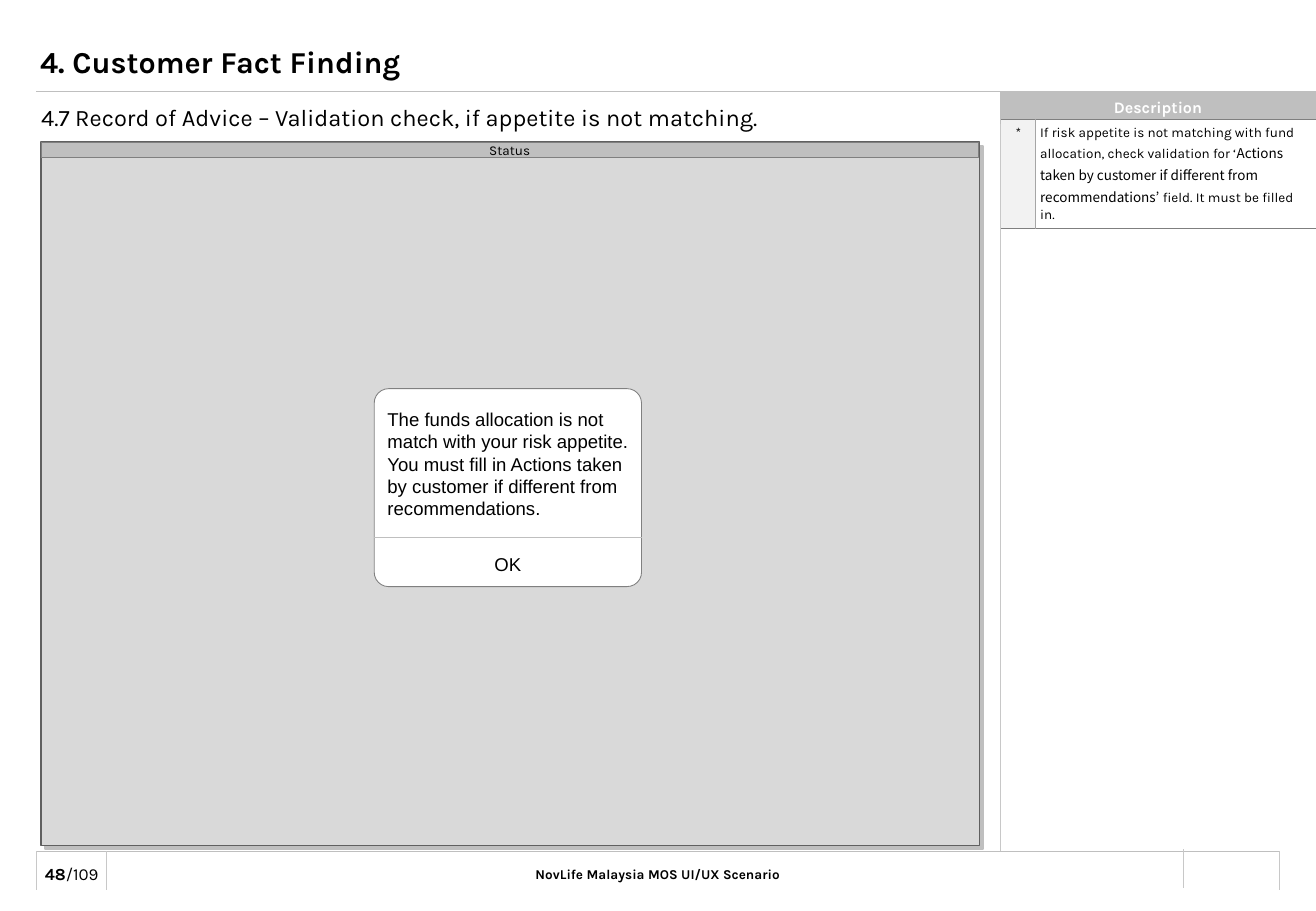
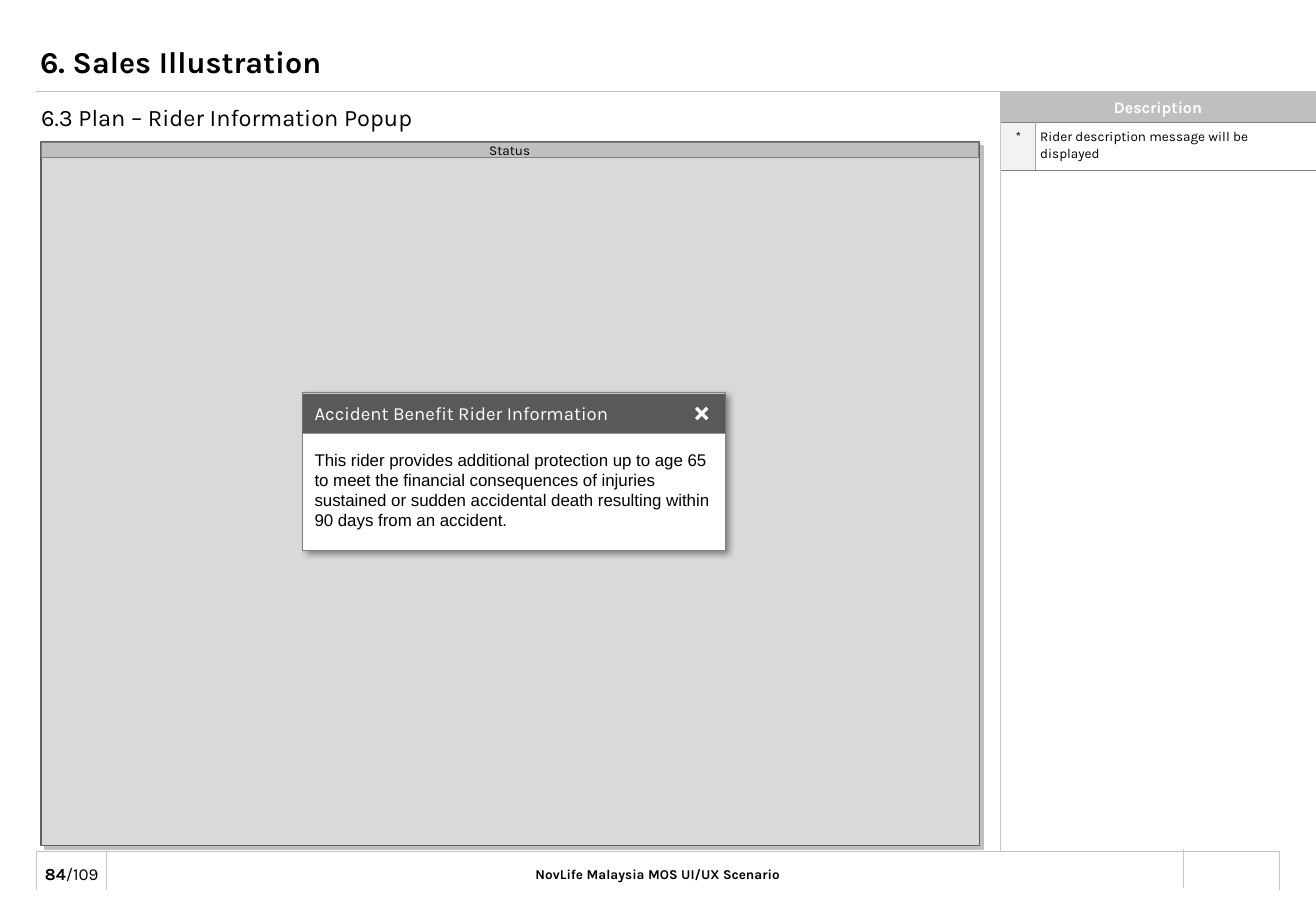
from lxml.etree import SubElement
from pptx import Presentation
from pptx.dml.color import RGBColor
from pptx.enum.shapes import MSO_CONNECTOR, MSO_SHAPE as Shape
from pptx.enum.text import MSO_ANCHOR as Anchor, MSO_AUTO_SIZE, PP_ALIGN as Align
from pptx.oxml import parse_xml
from pptx.oxml.ns import nsdecls, qn
from pptx.util import Inches, Pt

BLACK = RGBColor(0x00, 0x00, 0x00)
WHITE = RGBColor(0xFF, 0xFF, 0xFF)
BAND = RGBColor(0xBF, 0xBF, 0xBF)
RULE = RGBColor(0xC8, 0xC8, 0xC8)
SCREEN = RGBColor(0xD9, 0xD9, 0xD9)
SCREEN_EDGE = RGBColor(0x60, 0x60, 0x60)
EDGE = RGBColor(0x7F, 0x7F, 0x7F)
POPUP_EDGE = RGBColor(0x80, 0x80, 0x80)
POPUP_HEAD = RGBColor(0x59, 0x59, 0x59)
CELL_RULE = RGBColor(0xA6, 0xA6, 0xA6)
MARK_FILL = RGBColor(0xF2, 0xF2, 0xF2)

KARLA, ARIAL, NOTO = "Karla", "Arial", "Noto Sans CJK KR"
INSETS = (0.1, 0.05, 0.1, 0.05)
PAGE_TOTAL = 109
HEAD_Y, FOOT_Y, TICK_END = 0.75, 7.01, 7.33
LEFT_X, RIGHT_X, SIDE_X = 0.3, 10.53, 8.23


def write_text(frame, *paragraphs, size=8, font=KARLA, color=BLACK, bold=False,
               align=Align.LEFT, anchor=Anchor.TOP, insets=INSETS, wrap=True,
               spacing=None):
    """Each paragraph is a string or a list of (text, font overrides) runs."""
    frame.auto_size = MSO_AUTO_SIZE.NONE
    frame.word_wrap = wrap
    frame.vertical_anchor = anchor
    (frame.margin_left, frame.margin_top,
     frame.margin_right, frame.margin_bottom) = map(Inches, insets)
    for index, content in enumerate(paragraphs):
        paragraph = frame.add_paragraph() if index else frame.paragraphs[0]
        paragraph.alignment = align
        paragraph.line_spacing = spacing
        runs = [(content, {})] if isinstance(content, str) else content
        for words, changes in runs:
            run = paragraph.add_run()
            run.text = words
            look = {"name": font, "bold": bold, **changes}
            run.font.name, run.font.bold = look["name"], look["bold"]
            run.font.size = Pt(size)
            run.font.color.rgb = color


class Wireframe:
    def __init__(self):
        self.deck = Presentation()
        self.deck.slide_width, self.deck.slide_height = Inches(10.83), Inches(7.5)
        self.slide = None

    # Basic elements
    def line(self, x1, y1, x2, y2, color=RULE, width=0.5):
        rule = self.slide.shapes.add_connector(
            MSO_CONNECTOR.STRAIGHT, *map(Inches, (x1, y1, x2, y2)))
        rule.line.color.rgb = color
        rule.line.width = Pt(width)
        SubElement(rule._element.spPr, qn("a:effectLst"))

    def text(self, box, *paragraphs, **look):
        label = self.slide.shapes.add_textbox(*map(Inches, box))
        write_text(label.text_frame, *paragraphs, **look)

    def box(self, box, fill, edge=None, width=0.5, kind=Shape.RECTANGLE,
            adjust=None, shadow=None):
        """shadow is (colour, opacity %, blur pt, distance pt)."""
        block = self.slide.shapes.add_shape(kind, *map(Inches, box))
        block.fill.solid()
        block.fill.fore_color.rgb = fill
        if edge is None:
            block.line.fill.background()
        else:
            block.line.color.rgb = edge
            block.line.width = Pt(width)
        if adjust is not None:
            block.adjustments[0] = adjust
        block.shadow.inherit = False
        if shadow:
            color, opacity, blur, distance = shadow
            block._element.spPr.find(qn("a:effectLst")).append(parse_xml(
                f'<a:outerShdw {nsdecls("a")} blurRad="{Pt(blur)}" dist="{Pt(distance)}" '
                f'dir="2700000" algn="tl" rotWithShape="0"><a:srgbClr val="{color}">'
                f'<a:alpha val="{opacity * 1000}"/></a:srgbClr></a:outerShdw>'))
        return block

    # Page: title, subtitle, rules, footer and side column
    def page(self, number, title, subtitle):
        self.slide = self.deck.slides.add_slide(self.deck.slide_layouts[5])
        heading = self.slide.shapes.title
        heading.left, heading.top, heading.width, heading.height = map(
            Inches, (0.23, 0.26, 9.75, 0.49))
        write_text(heading.text_frame, title, size=18, bold=True, anchor=Anchor.MIDDLE)
        for y in (HEAD_Y, FOOT_Y):
            self.line(LEFT_X, y, RIGHT_X, y, BAND)
        for x in (LEFT_X, 0.88, RIGHT_X):
            self.line(x, FOOT_Y, x, TICK_END)
        self.line(9.74, 6.99, 9.74, 7.31)
        self.line(SIDE_X, HEAD_Y, SIDE_X, FOOT_Y)
        self.text((3.48, 7.08, 3.87, 0.24), "NovLife Malaysia MOS UI/UX Scenario",
                  bold=True, align=Align.CENTER)
        self.text((0.26, 7.06, 0.66, 0.26),
                  [(str(number), {"bold": True}), (f"/{PAGE_TOTAL}", {})],
                  size=10, align=Align.CENTER, anchor=Anchor.MIDDLE, wrap=False,
                  insets=(0.09, 0.04, 0.09, 0.04))
        band = self.box((SIDE_X, HEAD_Y, 2.6, 0.27), BAND)
        write_text(band.text_frame, "Description", size=9.5, color=WHITE, bold=True,
                   align=Align.CENTER, anchor=Anchor.MIDDLE, insets=(0, 0, 0, 0), wrap=False)
        self.text((0.24, 0.8, 7.56, 0.31), subtitle, size=14)
        self.screen()

    def screen(self):
        self.box((0.34, 1.17, 7.72, 5.79), SCREEN, SCREEN_EDGE, 1,
                 shadow=(BAND, 100, 0, 3))
        status = self.box((0.34, 1.17, 7.71, 0.13), BAND, EDGE)
        write_text(status.text_frame, "Status", align=Align.CENTER,
                   anchor=Anchor.MIDDLE, wrap=False)

    # Description table: a mark and its remark
    def remark(self, top, height, content):
        table = self.slide.shapes.add_table(
            1, 2, *map(Inches, (8.24, top, 2.59, height))).table
        table.first_row = table.horz_banding = False
        cells = (
            (0.28, "*", MARK_FILL, (0, 0.05, 0, 0.05), Align.CENTER, None,
             {"R": (CELL_RULE, 0.25)}),
            (2.31, content, WHITE, (0.04,) * 4, Align.LEFT, 1.1,
             {"L": (CELL_RULE, 0.25), "R": (EDGE, 0.5)}),
        )
        for column, (width, words, fill, insets, align, spacing, sides) in enumerate(cells):
            table.columns[column].width = Inches(width)
            cell = table.cell(0, column)
            write_text(cell.text_frame, words, align=align, spacing=spacing, wrap=None)
            (cell.margin_left, cell.margin_top,
             cell.margin_right, cell.margin_bottom) = map(Inches, insets)
            cell.fill.solid()
            cell.fill.fore_color.rgb = fill
            self.borders(cell, {**sides, "T": (EDGE, 0.5), "B": (EDGE, 0.5)})

    def borders(self, cell, sides):
        properties = cell._tc.get_or_add_tcPr()
        for place, side in enumerate("LRTB"):
            color, width = sides.get(side, (None, 0))
            paint = (f'<a:solidFill><a:srgbClr val="{color}"/></a:solidFill>'
                     if color is not None else "<a:noFill/>")
            properties.insert(place, parse_xml(
                f'<a:ln{side} {nsdecls("a")} w="{Pt(width)}">{paint}</a:ln{side}>'))

    # Popups
    def alert(self, button, *message):
        left, width, divider = 3.08, 2.2, 4.42
        self.box((left, 3.2, width, 1.63), WHITE, POPUP_EDGE,
                 kind=Shape.ROUNDED_RECTANGLE, adjust=0.073)
        self.line(left, divider, left + width, divider, BAND, 0.25)
        self.text((3.09, 3.31, width, 1.21), *message, size=11, font=ARIAL)
        self.text((left, 4.5, width, 0.29), button, size=11, font=ARIAL,
                  align=Align.CENTER)

    def info(self, heading, message):
        left, width = 2.49, 3.48
        self.box((left, 3.23, width, 1.3), WHITE, POPUP_EDGE, 0.25,
                 shadow=(BLACK, 40, 4, 3))
        head = self.box((left, 3.24, width, 0.33), POPUP_HEAD)
        write_text(head.text_frame, heading, size=11, color=WHITE, anchor=Anchor.MIDDLE)
        close = self.box((5.71, 3.34, 0.13, 0.13), WHITE, kind=Shape.CROSS, adjust=0.394)
        close.rotation = 45
        self.text((left, 3.65, width, 0.77), message, size=10, font=ARIAL)


def main():
    wireframe = Wireframe()

    # Risk appetite validation
    wireframe.page(48, "4. Customer Fact Finding",
                   "4.7 Record of Advice – Validation check, if appetite is not matching.")
    wireframe.remark(0.98, 0.66, [
        ("If risk appetite is not matching with fund allocation, check validation for ‘", {}),
        ("Actions taken by customer if different from recommendations’", {"name": NOTO}),
        (" field. It must be filled in.", {})])
    wireframe.alert(
        "OK", "The funds allocation is not match with your risk appetite.",
        "You must fill in Actions taken by customer if different from recommendations.")

    # Rider information
    wireframe.page(84, "6. Sales Illustration", "6.3 Plan – Rider Information Popup")
    wireframe.remark(1.01, 0.39, "Rider description message will be displayed")
    wireframe.info(
        "Accident Benefit Rider Information",
        "This rider provides additional protection up to age 65 to meet the financial "
        "consequences of injuries sustained or sudden accidental death resulting within "
        "90 days from an accident.")

    wireframe.deck.save("out.pptx")


if __name__ == "__main__":
    main()
